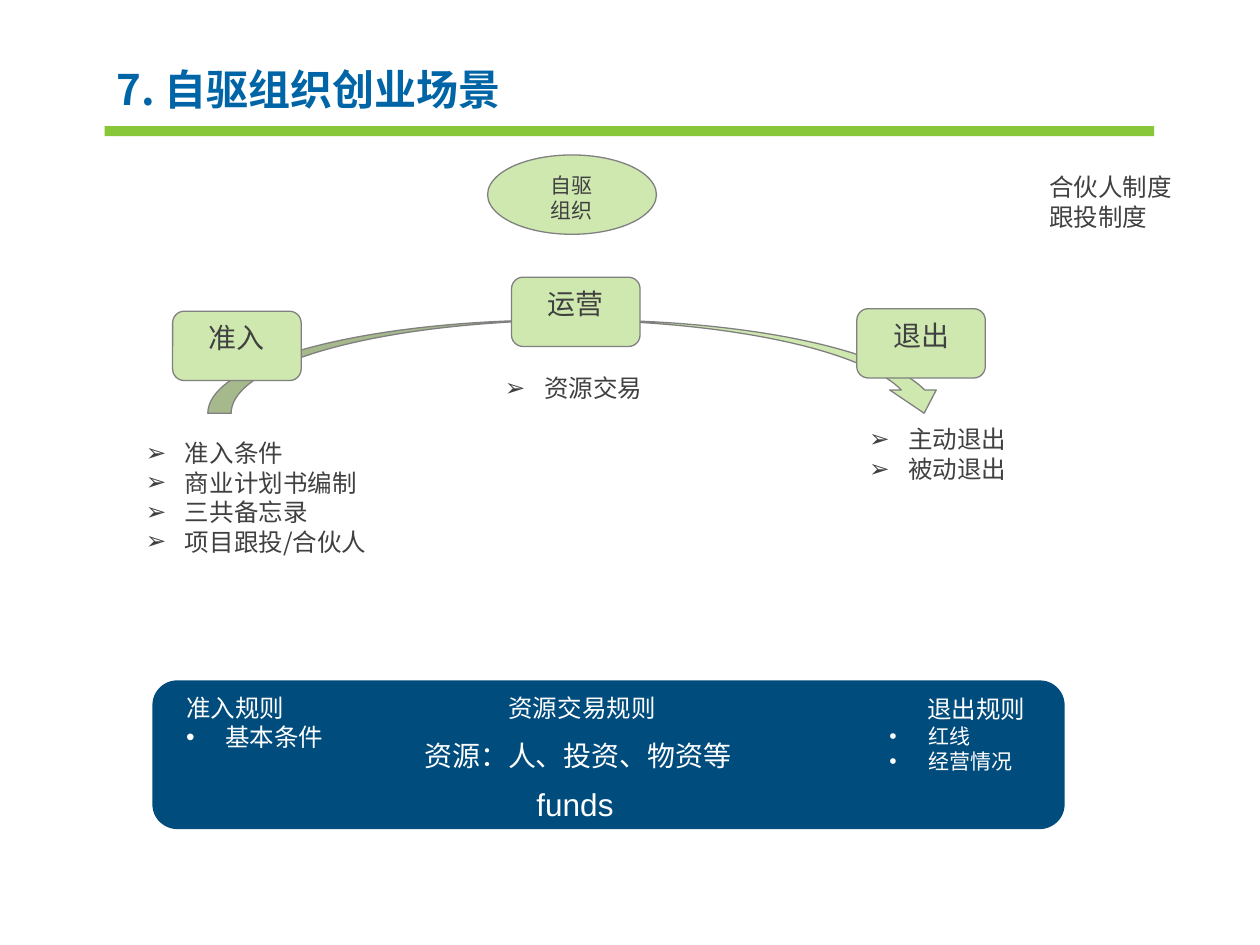
from dataclasses import dataclass

from lxml import etree
from pptx import Presentation
from pptx.dml.color import RGBColor
from pptx.enum import shapes, text
from pptx.oxml.ns import qn
from pptx.util import Inches, Pt


@dataclass(frozen=True)
class Theme:
    """Colours, fonts and type sizes of the slide."""
    blue: str = "0065A6"
    navy: str = "004C7D"
    green: str = "88C63A"
    pale: str = "CFE8B0"
    gray: str = "808080"
    ink: str = "404040"
    white: str = "FFFFFF"
    cjk: str = "Noto Sans CJK SC"
    latin: str = "Arial"
    title: int = 24
    large: int = 18
    stage: int = 16
    body: int = 14
    small: int = 12


THEME = Theme()
SHAPE = shapes.MSO_SHAPE
CENTER = text.PP_ALIGN.CENTER
ARROW_BULLET = "➢"
DOT_BULLET = "•"
INDENT = Inches(0.31)


def write(frame, lines, size=THEME.body, color=THEME.ink, font=THEME.cjk, bold=False,
          align=None, bullet=None, hanging=False, spacing=None, more=False):
    """Write lines as paragraphs in one format; more adds to earlier text."""
    frame.word_wrap = True
    for index, line in enumerate(lines):
        paragraph = frame.add_paragraph() if more or index else frame.paragraphs[0]
        if align is not None:
            paragraph.alignment = align
        if spacing:
            paragraph.line_spacing = spacing
        properties = paragraph._p.get_or_add_pPr()
        if bullet or hanging:
            properties.set("marL", str(INDENT))
            properties.set("indent", str(-INDENT))
        if bullet:
            etree.SubElement(properties, qn("a:buFont")).set("typeface", THEME.latin)
            etree.SubElement(properties, qn("a:buChar")).set("char", bullet)
        run = paragraph.add_run()
        run.text = line
        run.font.size = Pt(size)
        run.font.bold = bold
        run.font.name = font
        run.font.color.rgb = RGBColor.from_string(color)
        etree.SubElement(run._r.get_or_add_rPr(), qn("a:ea")).set("typeface", font)


def add_text(slide, box, lines, **style):
    """Add a text box and return its frame."""
    frame = slide.shapes.add_textbox(*map(Inches, box)).text_frame
    write(frame, lines, **style)
    return frame


def add_block(slide, kind, box, fill, line=None):
    """Add a flat preset shape with top-anchored text."""
    shape = slide.shapes.add_shape(kind, *map(Inches, box))
    shape.shadow.inherit = False
    shape.fill.solid()
    shape.fill.fore_color.rgb = RGBColor.from_string(fill)
    if line:
        shape.line.color.rgb = RGBColor.from_string(line)
        shape.line.width = Pt(0.75)
    else:
        shape.line.fill.background()
    shape.text_frame.vertical_anchor = text.MSO_ANCHOR.TOP
    return shape


def add_header(slide, left, top):
    """Place the title and the green rule below it."""
    add_block(slide, SHAPE.RECTANGLE, (left, top + 0.61, 8.33, 0.08), THEME.green)
    frame = add_text(slide, (left, top, 7.48, 0.53), ["7. 自驱组织创业场景"], size=THEME.title,
                     color=THEME.blue, bold=True, hanging=True, spacing=1.25)
    frame.vertical_anchor = text.MSO_ANCHOR.MIDDLE


def add_process(slide, left, top):
    """Place the organisation, the curved arrow, its stages and their lists."""
    oval = add_block(slide, SHAPE.OVAL, (left + 2.81, top, 1.34, 0.63), THEME.pale, THEME.gray)
    write(oval.text_frame, ["自驱", "组织"], size=THEME.small, align=CENTER)
    arrow = add_block(slide, SHAPE.CURVED_UP_ARROW, (left + 0.59, top + 1.31, 5.87, 0.74),
                      THEME.pale, THEME.gray)
    arrow._element.spPr.find(qn("a:xfrm")).set("flipV", "1")
    stages = [
        ("准入", 0.31, 1.24, (0, 2.2, 2.05, 1.04),
         ["准入条件", "商业计划书编制", "三共备忘录", "项目跟投/合伙人"]),
        ("退出", 5.74, 1.22, (5.74, 2.09, 1.8, 0.57), ["主动退出", "被动退出"]),
        ("运营", 3.0, 0.97, (2.85, 1.68, 1.5, 0.34), ["资源交易"]),
    ]
    for name, x, y, (list_x, list_y, width, height), items in stages:
        stage = add_block(slide, SHAPE.ROUNDED_RECTANGLE, (left + x, top + y, 1.02, 0.55),
                          THEME.pale, THEME.gray)
        write(stage.text_frame, [name], size=THEME.stage, align=CENTER)
        add_text(slide, (left + list_x, top + list_y, width, height), items, bullet=ARROW_BULLET)
    add_text(slide, (left + 7.17, top + 0.09, 1.47, 0.57), ["合伙人制度", "跟投制度"])


def add_rules(slide, left, top):
    """Place the navy panel with the three groups of rules."""
    add_block(slide, SHAPE.ROUNDED_RECTANGLE, (left, top, 7.24, 1.18), THEME.navy)
    groups = [
        ("准入规则", (0.17, 0.05, 1.57, 0.81), None, THEME.body, ["基本条件"]),
        ("资源交易规则", (2.62, 0.05, 1.58, 0.34), CENTER, THEME.body, []),
        ("退出规则", (5.75, 0.06, 1.58, 0.98), CENTER, THEME.small, ["红线", "经营情况"]),
    ]
    for heading, (x, y, width, height), align, size, items in groups:
        frame = add_text(slide, (left + x, top + y, width, height), [heading],
                         color=THEME.white, align=align)
        write(frame, items, size=size, color=THEME.white, bullet=DOT_BULLET, more=True)
    add_text(slide, (left + 2.06, top + 0.41, 2.83, 0.37), ["资源：人、投资、物资等"],
             size=THEME.stage, color=THEME.white)
    add_text(slide, (left + 2.95, top + 0.78, 1.34, 0.4), ["funds"],
             size=THEME.large, color=THEME.white, font=THEME.latin)


def main():
    """Build the slide and save it."""
    presentation = Presentation()
    presentation.slide_width = Inches(10)
    presentation.slide_height = Inches(7.5)
    slide = presentation.slides.add_slide(presentation.slide_layouts[6])
    add_header(slide, 0.83, 0.39)
    add_process(slide, 1.06, 1.23)
    add_rules(slide, 1.21, 5.4)
    presentation.save("out.pptx")


main()
